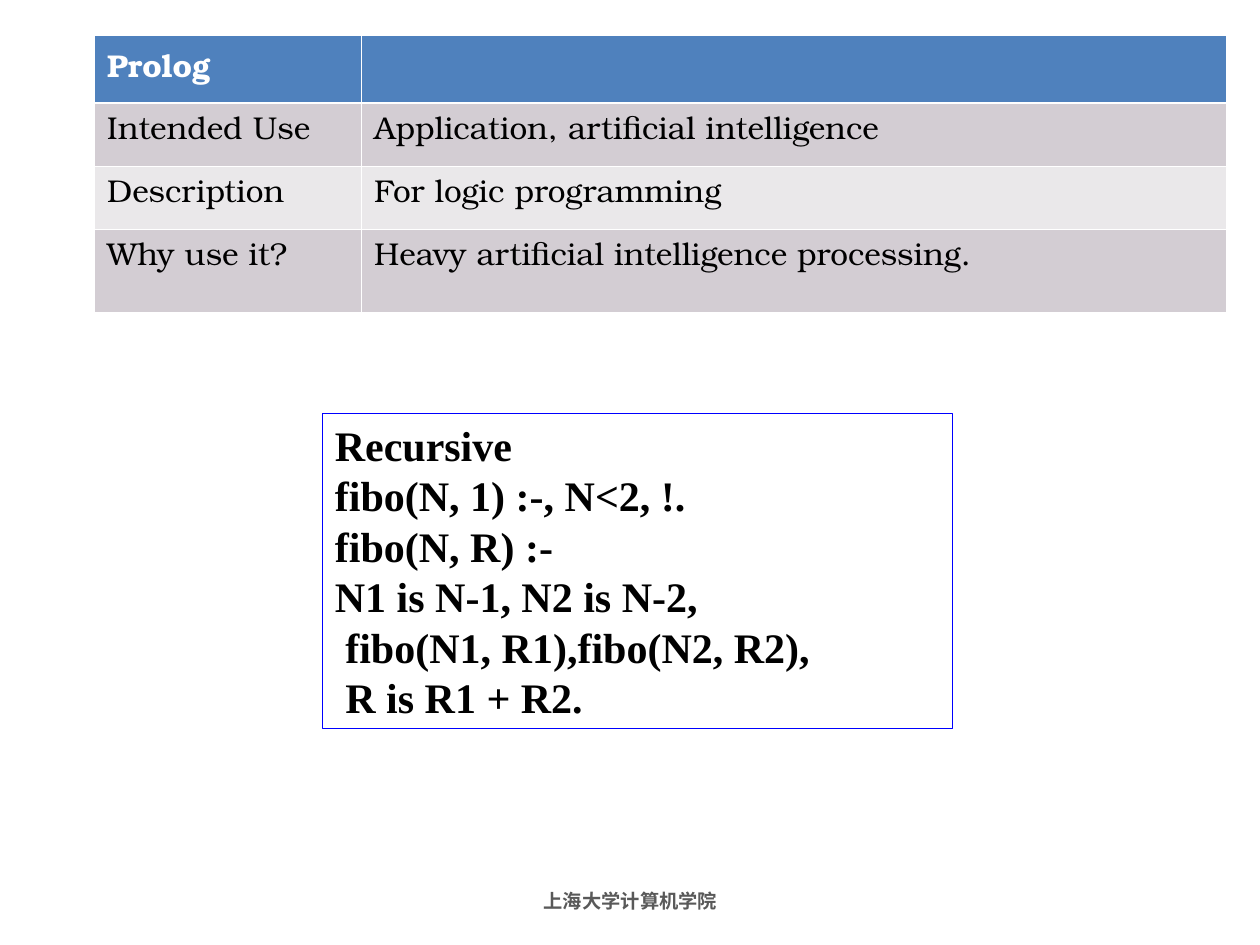
from dataclasses import dataclass

from lxml.etree import SubElement
from pptx import Presentation
from pptx.dml.color import RGBColor
from pptx.enum.shapes import MSO_SHAPE
from pptx.enum.text import MSO_ANCHOR, PP_ALIGN
from pptx.oxml.ns import qn
from pptx.util import Inches, Pt


@dataclass(frozen=True)
class Theme:
    table_font: str = "TeX Gyre Bonum"
    code_font: str = "Times New Roman"
    header_fill: str = "4F81BD"
    odd_fill: str = "D3CDD3"
    even_fill: str = "EAE8EA"
    white: str = "FFFFFF"
    black: str = "000000"
    code_border: str = "0000FF"
    footer_color: str = "595959"
    table_size: int = 18
    code_size: int = 24
    footer_size: int = 11
    thin_border: float = 0.45
    thick_border: float = 1.47


theme = Theme()


def format_text(text_frame, name, size, color, bold):
    for paragraph in text_frame.paragraphs:
        for run in paragraph.runs:
            run.font.name = name
            run.font.size = Pt(size)
            run.font.bold = bold
            run.font.color.rgb = RGBColor.from_string(color)


def add_border(cell, side, width):
    """Draw one white cell border; call before setting the cell's fill."""
    properties = cell._tc.get_or_add_tcPr()
    line = SubElement(properties, qn(f"a:{side}"), w=str(Pt(width)))
    fill = SubElement(line, qn("a:solidFill"))
    SubElement(fill, qn("a:srgbClr"), val=theme.white)


presentation = Presentation()
presentation.slide_width = Inches(10)
presentation.slide_height = Inches(7.5)
slide = presentation.slides.add_slide(presentation.slide_layouts[6])

# Footer
footer = slide.shapes.add_textbox(Inches(3.42), Inches(6.95), Inches(3.17), Inches(0.4))
footer.text_frame.word_wrap = True
footer.text_frame.vertical_anchor = MSO_ANCHOR.MIDDLE
footer.text_frame.text = "上海大学计算机学院"
footer.text_frame.paragraphs[0].alignment = PP_ALIGN.CENTER
format_text(footer.text_frame, theme.code_font, theme.footer_size, theme.footer_color, True)

# Code box
code_lines = [
    "Recursive",
    "fibo(N, 1) :-, N<2, !.",
    "fibo(N, R) :-",
    "N1 is N-1, N2 is N-2,",
    " fibo(N1, R1),fibo(N2, R2),",
    " R is R1 + R2.",
]
code_box = slide.shapes.add_shape(
    MSO_SHAPE.RECTANGLE, Inches(2.56), Inches(3.28), Inches(5), Inches(2.5))
code_box.shadow.inherit = False
code_box.fill.background()
code_box.line.color.rgb = RGBColor.from_string(theme.code_border)
code_box.line.width = Pt(0.75)
code_box.text_frame.word_wrap = True
code_box.text_frame.vertical_anchor = MSO_ANCHOR.TOP
code_box.text_frame.text = "\n".join(code_lines)
for paragraph in code_box.text_frame.paragraphs:
    paragraph.alignment = PP_ALIGN.LEFT
format_text(code_box.text_frame, theme.code_font, theme.code_size, theme.black, True)

# Language table
rows = [
    ("Prolog", ""),
    ("Intended Use", "Application, artificial intelligence"),
    ("Description", "For logic programming"),
    ("Why use it?", "Heavy artificial intelligence processing."),
]
column_widths = [2.12, 6.86]
row_heights = [0.54, 0.5, 0.5, 0.66]
table = slide.shapes.add_table(
    len(rows), len(column_widths), Inches(0.75), Inches(0.28),
    Inches(sum(column_widths)), Inches(sum(row_heights))).table
for column, width in zip(table.columns, column_widths):
    column.width = Inches(width)

for row_index, (values, height) in enumerate(zip(rows, row_heights)):
    table.rows[row_index].height = Inches(height)
    is_header = row_index == 0
    if is_header:
        fill_color = theme.header_fill
    else:
        fill_color = theme.odd_fill if row_index % 2 else theme.even_fill
    border_widths = {
        "lnL": theme.thin_border,
        "lnR": theme.thin_border,
        "lnT": theme.thick_border if row_index == 1 else theme.thin_border,
        "lnB": theme.thick_border if is_header else theme.thin_border,
    }
    for column_index, value in enumerate(values):
        cell = table.cell(row_index, column_index)
        for side, width in border_widths.items():
            add_border(cell, side, width)
        cell.fill.solid()
        cell.fill.fore_color.rgb = RGBColor.from_string(fill_color)
        cell.text_frame.text = value
        if not is_header:
            cell.text_frame.paragraphs[0].line_spacing = 0.9
        text_color = theme.white if is_header else theme.black
        format_text(cell.text_frame, theme.table_font, theme.table_size, text_color, is_header)

presentation.save("out.pptx")
